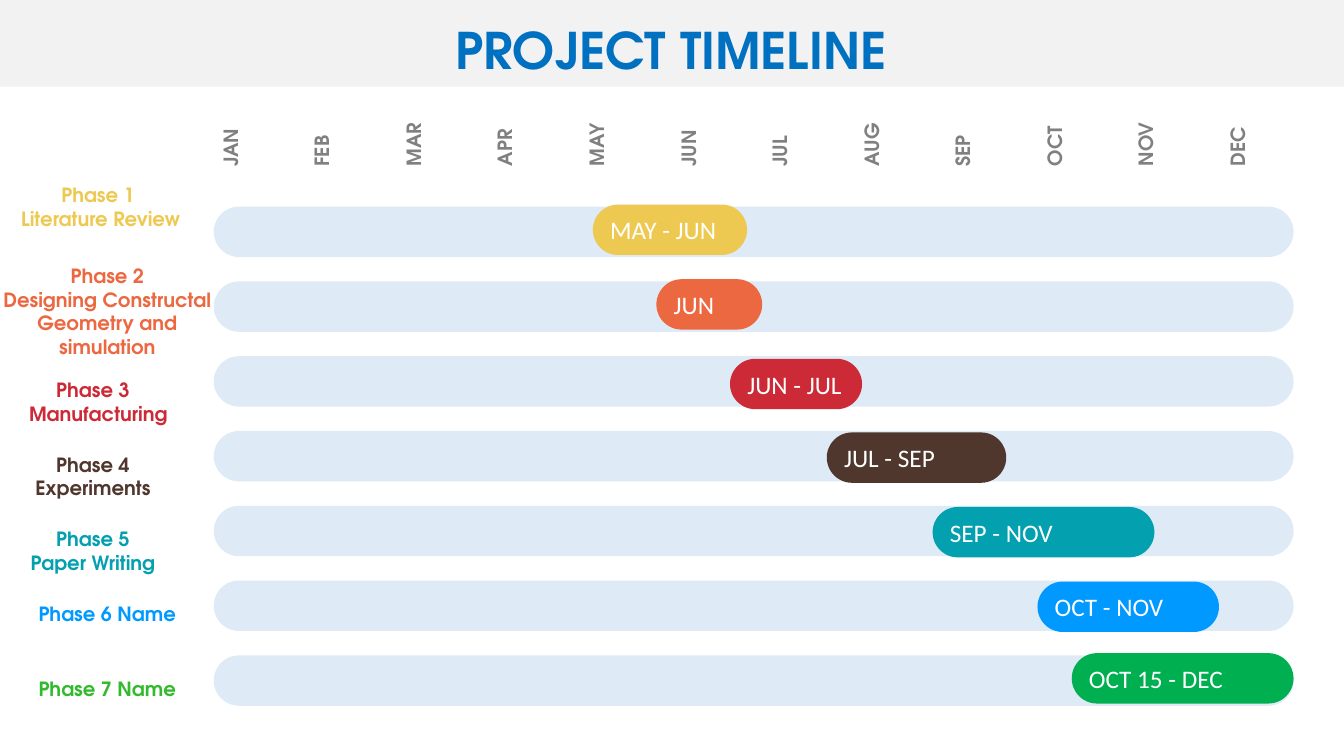
from dataclasses import dataclass

from pptx import Presentation
from pptx.dml.color import RGBColor
from pptx.enum.shapes import MSO_SHAPE as Preset
from pptx.enum.text import MSO_ANCHOR as Anchor, MSO_AUTO_SIZE as AutoSize, PP_ALIGN as Align
from pptx.util import Inches, Pt


@dataclass(frozen=True)
class Theme:
    heading_font: str = "TeX Gyre Adventor"
    bar_font: str = "Calibri"
    title_size: int = 36
    label_size: int = 14
    bar_size: int = 18
    header: str = "F2F2F2"
    title: str = "0070C0"
    month: str = "808080"
    track: str = "DEEBF7"
    white: str = "FFFFFF"
    yellow: str = "EDC951"
    orange: str = "EB6841"
    red: str = "CC2A36"
    brown: str = "4F372D"
    teal: str = "03A0B0"
    blue: str = "0099FF"
    green_label: str = "32B92D"
    green_bar: str = "00B050"


THEME = Theme()
MONTHS = "JAN FEB MAR APR MAY JUN JUL AUG SEP OCT NOV DEC".split()
MONTH_LEFT, MONTH_STEP = 2.12, 0.908
TRACK_LEFT, TRACK_TOP, TRACK_STEP = 2.12, 2.05, 0.742
TRACK_WIDTH, BAR_HEIGHT = 10.71, 0.5

LABELS = [
    (["Phase 1 ", "Literature Review"], (0.05, 1.77, 1.9, 0.57), THEME.yellow, Align.CENTER),
    (["Phase 2", "Designing Constructal Geometry and simulation"],
     (-0.17, 2.57, 2.47, 1.04), THEME.orange, Align.CENTER),
    (["Phase 3 ", " Manufacturing"], (0, 3.7, 1.9, 0.57), THEME.red, Align.CENTER),
    (["Phase 4 ", "Experiments "], (0, 4.44, 1.9, 0.57), THEME.brown, Align.CENTER),
    (["Phase 5 ", "Paper Writing "], (0, 5.18, 1.9, 0.57), THEME.teal, Align.CENTER),
    (["Phase 6 Name "], (0, 5.92, 1.9, 0.34), THEME.blue, Align.RIGHT),
    (["Phase 7 Name "], (0, 6.67, 1.9, 0.34), THEME.green_label, Align.RIGHT),
]

BARS = [
    ("MAY - JUN", 5.88, 2.03, 1.53, THEME.yellow),
    ("JUN", 6.51, 2.77, 1.05, THEME.orange),
    ("JUN - JUL", 7.24, 3.56, 1.31, THEME.red),
    ("JUL - SEP", 8.2, 4.29, 1.78, THEME.brown),
    ("SEP - NOV", 9.25, 5.03, 2.2, THEME.teal),
    ("OCT - NOV", 10.29, 5.77, 1.8, THEME.blue),
    ("OCT 15 - DEC", 10.63, 6.48, 2.2, THEME.green_bar),
]


def apply(target, values):
    for name, value in values.items():
        setattr(target, name, value)


def write(shape, lines, font, size, color, bold=True, align=Align.LEFT,
          anchor=Anchor.TOP, auto_size=AutoSize.SHAPE_TO_FIT_TEXT):
    frame = shape.text_frame
    apply(frame, {"word_wrap": True, "vertical_anchor": anchor, "auto_size": auto_size})
    for index, line in enumerate(lines):
        para = frame.add_paragraph() if index else frame.paragraphs[0]
        para.alignment = align
        span = para.add_run()
        span.text = line
        apply(span.font, {"name": font, "size": Pt(size), "bold": bold})
        span.font.color.rgb = RGBColor.from_string(color)


def add_block(page, preset, place, color):
    block = page.shapes.add_shape(preset, *map(Inches, place))
    block.shadow.inherit = False
    block.fill.solid()
    block.fill.fore_color.rgb = RGBColor.from_string(color)
    block.line.fill.background()
    return block


def add_pill(page, left, top, width, color):
    pill = add_block(page, Preset.ROUNDED_RECTANGLE, (left, top, width, BAR_HEIGHT), color)
    pill.adjustments[0] = 0.5
    return pill


def add_label(page, lines, place, color, align):
    box = page.shapes.add_textbox(*map(Inches, place))
    write(box, lines, THEME.heading_font, THEME.label_size, color, align=align)
    return box


def add_month(page, index, month):
    place = (MONTH_LEFT + index * MONTH_STEP, 0.94, 0.44, 0.81)
    box = add_label(page, [month], place, THEME.month, Align.LEFT)
    box.text_frame._txBody.bodyPr.set("vert", "vert270")


def add_bar(page, text, left, top, width, color):
    bar = add_pill(page, left, top, width, color)
    write(bar, [text], THEME.bar_font, THEME.bar_size, THEME.white, bold=False,
          anchor=Anchor.MIDDLE, auto_size=AutoSize.NONE)


def place_title(page, text):
    title = page.shapes.title
    apply(title, {"left": Inches(0.32), "top": Inches(0.14),
                  "width": Inches(12.67), "height": Inches(0.71)})
    write(title, [text], THEME.heading_font, THEME.title_size, THEME.title, align=Align.CENTER)
    page.shapes._spTree.append(title._element)


def main():
    deck = Presentation()
    apply(deck, {"slide_width": Inches(13.33), "slide_height": Inches(7.5)})
    page = deck.slides.add_slide(deck.slide_layouts[5])

    add_block(page, Preset.RECTANGLE, (0, 0, 13.33, 0.86), THEME.header)
    for label in LABELS:
        add_label(page, *label)
    for index, month in enumerate(MONTHS):
        add_month(page, index, month)
    for row in range(len(BARS)):
        add_pill(page, TRACK_LEFT, TRACK_TOP + row * TRACK_STEP, TRACK_WIDTH, THEME.track)
    for bar in BARS:
        add_bar(page, *bar)
    place_title(page, "PROJECT TIMELINE")

    deck.save("out.pptx")


if __name__ == "__main__":
    main()
